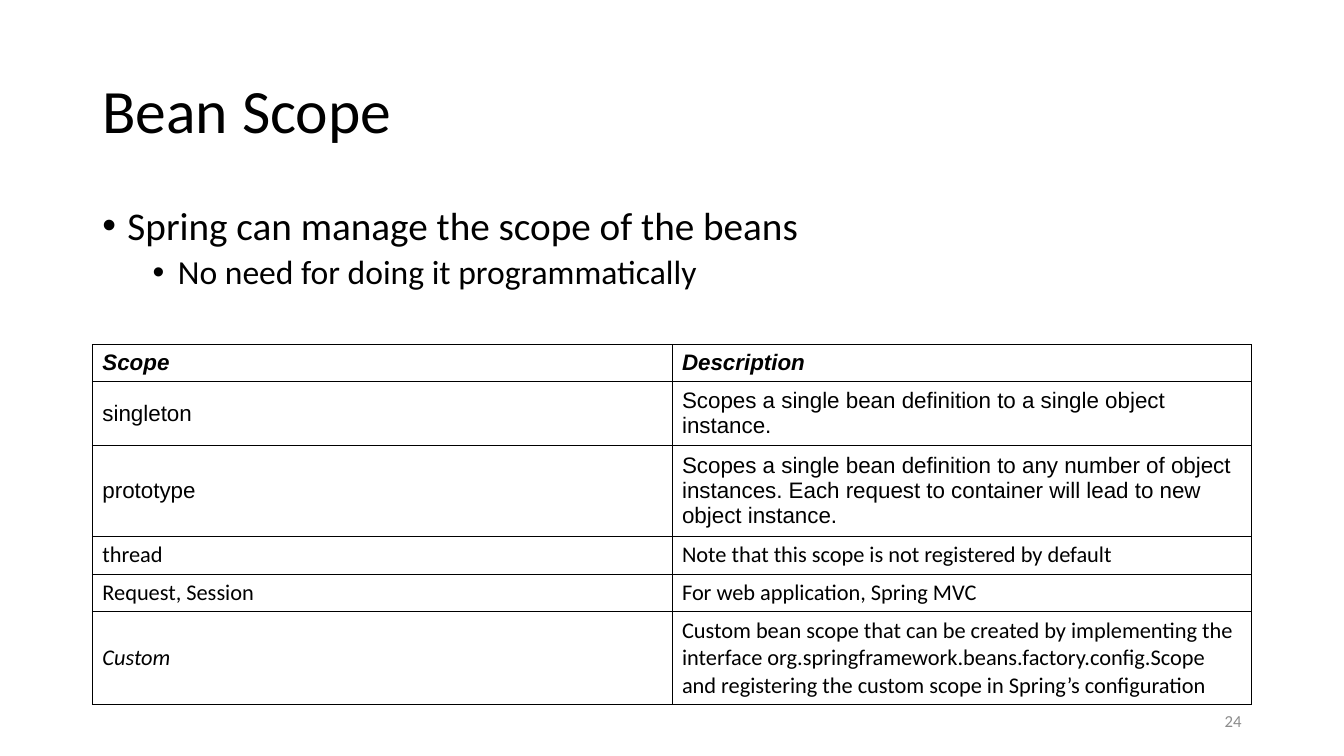
from lxml.etree import SubElement as Sub
from pptx import Presentation
from pptx.dml.color import RGBColor as Rgb
from pptx.enum.text import MSO_ANCHOR as Anchor, PP_ALIGN as Align
from pptx.oxml.ns import qn
from pptx.util import Pt

INK = {"text": "000000", "page": "FFFFFF", "line": "000000", "number": "8C8C8C"}
LEFT, WIDTH = 66, 828
ROWS = [
    (25, "Arial", "Scope", "Description"),
    (43, "Arial", "singleton",
     "Scopes a single bean definition to a single object instance."),
    (61, "Arial", "prototype",
     "Scopes a single bean definition to any number of object instances. "
     "Each request to container will lead to new object instance."),
    (27, "Calibri", "thread", "Note that this scope is not registered by default"),
    (27, "Calibri", "Request, Session", "For web application, Spring MVC"),
    (66, "Calibri", "Custom",
     "Custom bean scope that can be created by implementing the interface "
     "org.springframework.beans.factory.config.Scope and registering the "
     "custom scope in Spring’s configuration"),
]


def write(para, text, size=16, font="Calibri", color="text", bold=False,
          slant=False, align=Align.LEFT, lead=1.0, before=0):
    """Put formatted text in a paragraph."""
    para.alignment, para.line_spacing = align, lead
    para.space_before = Pt(before)
    run = para.add_run()
    run.text = text
    face = run.font
    face.name, face.size = font, Pt(size)
    face.bold, face.italic = bold, slant
    face.color.rgb = Rgb.from_string(INK[color])


def add_box(slide, left, top, width, height, anchor=Anchor.MIDDLE):
    """Add a wrapping text box and return its frame."""
    box = slide.shapes.add_textbox(Pt(left), Pt(top), Pt(width), Pt(height))
    frame = box.text_frame
    frame.word_wrap, frame.vertical_anchor = True, anchor
    return frame


def bullet(para, level):
    """Give a paragraph a hanging bullet."""
    para.level = level
    props = para._p.get_or_add_pPr()
    props.set("marL", str(Pt(18 + 36 * level)))
    props.set("indent", str(Pt(-18)))
    Sub(props, qn("a:buFont"), typeface="Arial")
    Sub(props, qn("a:buChar"), char="•")


def frame_cell(cell):
    """Fill a cell and rule its four sides."""
    props = cell._tc.get_or_add_tcPr()
    for side in ("lnL", "lnR", "lnT", "lnB"):
        line = Sub(props, qn("a:" + side), w=str(Pt(0.75)))
        fill = Sub(line, qn("a:solidFill"))
        Sub(fill, qn("a:srgbClr"), val=INK["line"])
    cell.fill.solid()
    cell.fill.fore_color.rgb = Rgb.from_string(INK["page"])
    cell.vertical_anchor = Anchor.MIDDLE


def add_grid(slide, top):
    """Add the table of bean scopes."""
    total = sum(row[0] for row in ROWS)
    grid = slide.shapes.add_table(len(ROWS), 2, Pt(LEFT), Pt(top),
                                  Pt(WIDTH), Pt(total)).table
    grid.horz_banding = False
    for r, (height, font, *texts) in enumerate(ROWS):
        grid.rows[r].height = Pt(height)
        for c, text in enumerate(texts):
            cell = grid.cell(r, c)
            frame_cell(cell)
            write(cell.text_frame.paragraphs[0], text, font=font, bold=r == 0,
                  slant=r == 0 or text == "Custom")


def main():
    """Build and save the slide."""
    deck = Presentation()
    deck.slide_width, deck.slide_height = Pt(960), Pt(540)
    slide = deck.slides.add_slide(deck.slide_layouts[6])
    title = add_box(slide, LEFT, 28.8, WIDTH, 104.4)
    write(title.paragraphs[0], "Bean Scope", size=44, lead=0.9)
    body = add_box(slide, LEFT, 144, WIDTH, 342.7, Anchor.TOP)
    first, second = body.paragraphs[0], body.add_paragraph()
    write(first, "Spring can manage the scope of the beans",
          size=28, lead=0.9, before=10)
    write(second, "No need for doing it programmatically",
          size=24, lead=0.9, before=5)
    for level, para in enumerate((first, second)):
        bullet(para, level)
    add_grid(slide, 246.2)
    number = add_box(slide, 678, 500.5, 216, 28.8)
    write(number.paragraphs[0], "24", size=12, color="number", align=Align.RIGHT)
    deck.save("out.pptx")


if __name__ == "__main__":
    main()
